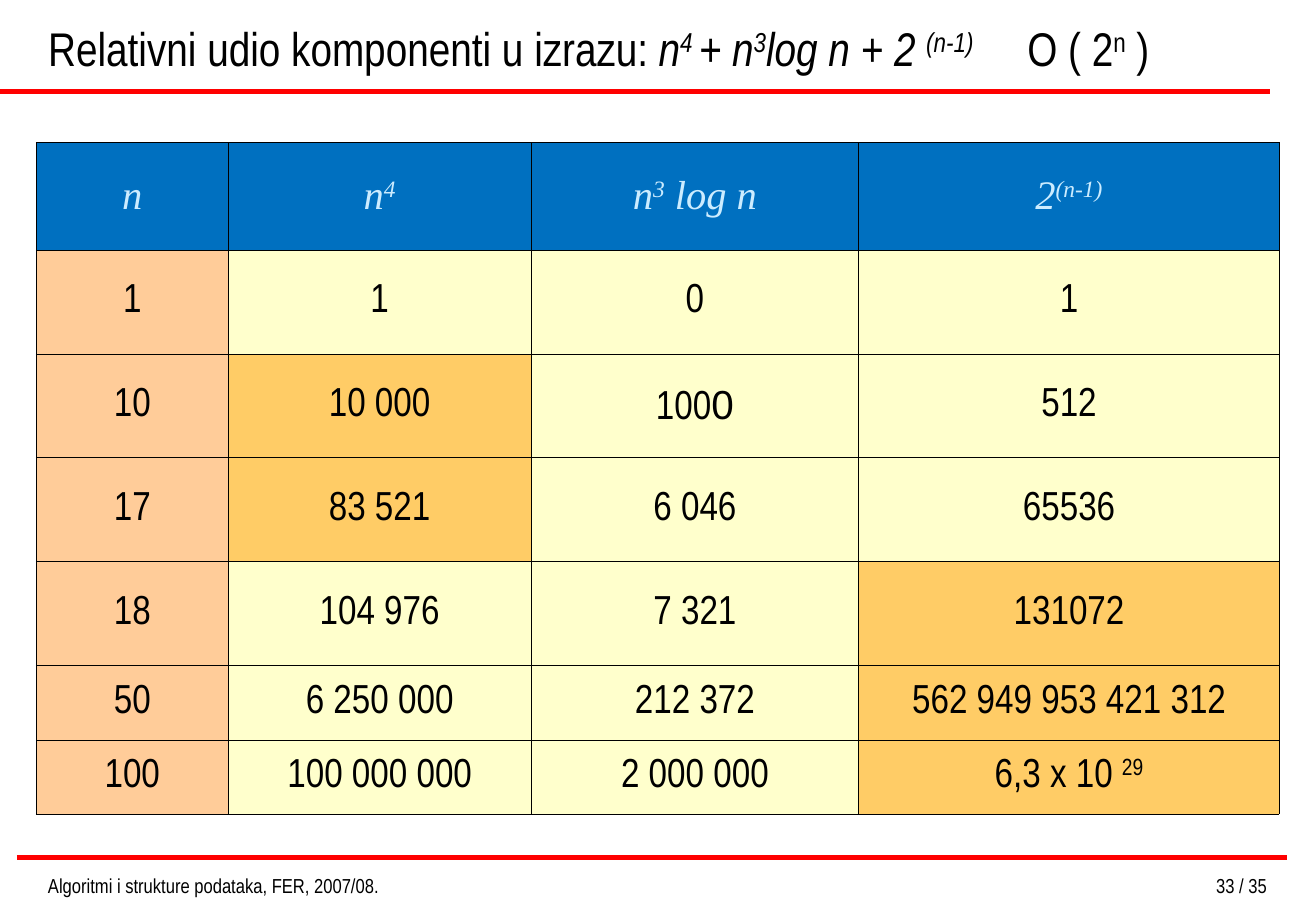
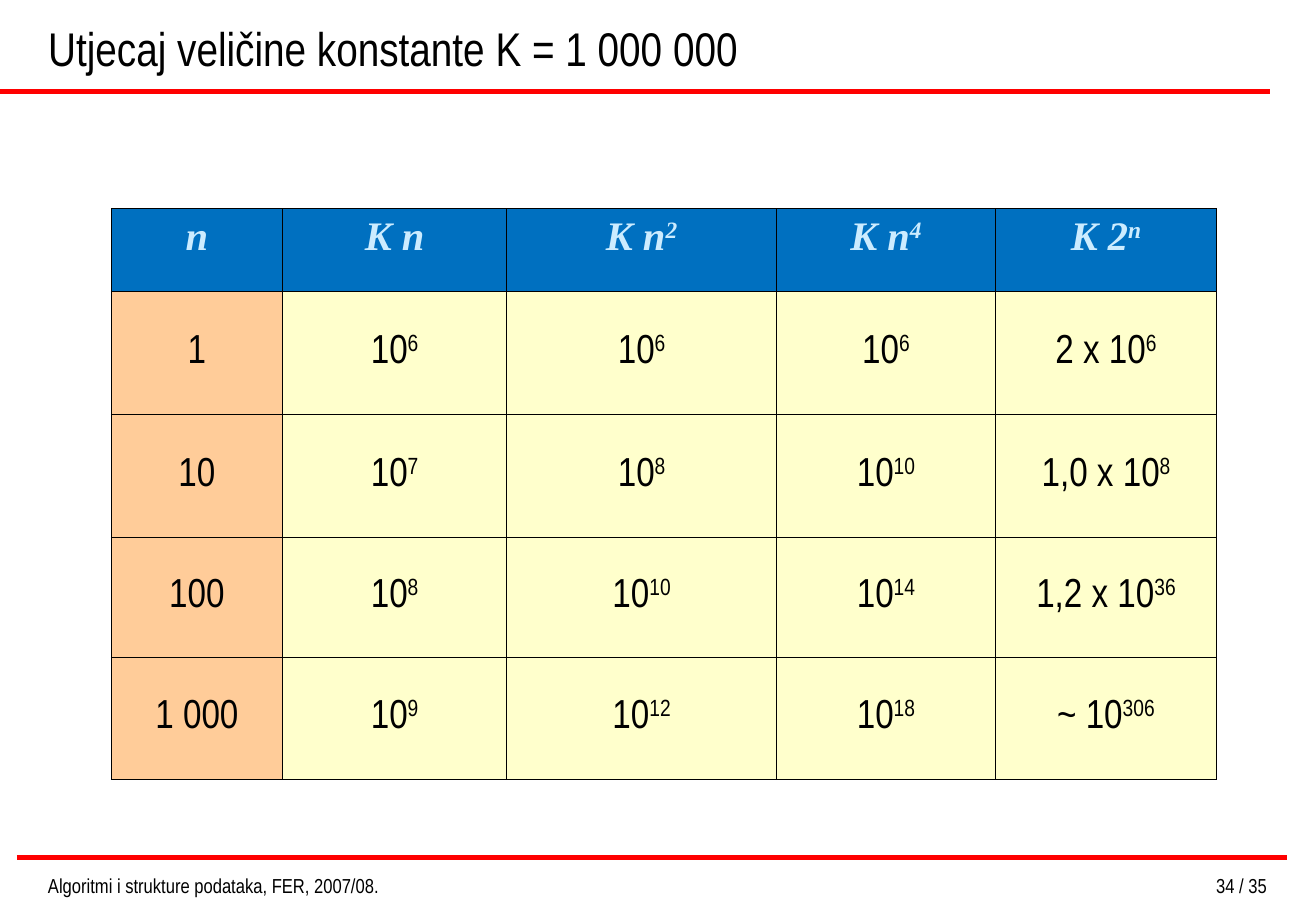
from lxml.etree import SubElement
from pptx import Presentation
from pptx.dml.color import RGBColor
from pptx.enum.shapes import MSO_CONNECTOR
from pptx.enum.text import MSO_ANCHOR, MSO_AUTO_SIZE, PP_ALIGN
from pptx.oxml.ns import qn
from pptx.util import Pt

COLORS = {
    "text": "000000",
    "rule": "FF0000",
    "border": "000000",
    "header": "0070C0",
    "header_text": "CCECFF",
    "first_column": "FFCC99",
    "body": "FFFFCC",
    "largest": "FFCC66",
}
BODY_FONT = "Arial Narrow"
HEADER_FONT = "Times New Roman"
TITLE_ONLY = 5
TOTAL_SLIDES = 35
FOOTER = "Algoritmi i strukture podataka, FER, 2007/08."
LEFT = 21.4

COMPONENTS = [
    ["n", "n^4", "n^3^ log n", "2^(n-1)"],
    ["1", "1", "0", "1"],
    ["10", "10 000", "1000", "512"],
    ["17", "83 521", "6 046", "65536"],
    ["18", "104 976", "7 321", "131072"],
    ["50", "6 250 000", "212 372", "562 949 953 421 312"],
    ["100", "100 000 000", "2 000 000", "6,3 x 10 ^29"],
]
LARGEST = {(2, 1), (3, 1), (4, 3), (5, 3), (6, 3)}

CONSTANT = [
    ["n", "K n", "K n^2", "K n^4", "K 2^n"],
    ["1", "10^6", "10^6", "10^6", "2 x 10^6"],
    ["10", "10^7", "10^8", "10^10", "1,0 x 10^8"],
    ["100", "10^8", "10^10", "10^14", "1,2 x 10^36"],
    ["1 000", "10^9", "10^12", "10^18", "~ 10^306"],
]


def rgb(name):
    return RGBColor.from_string(COLORS[name])


def add_text(p, text, size, font=BODY_FONT, color="text", bold=False, italic=False):
    """Add runs to a paragraph; each ^ switches superscript on or off."""
    for i, part in enumerate(text.split("^")):
        if not part:
            continue
        r = p.add_run()
        r.text = part
        r.font.size = Pt(size)
        r.font.name = font
        r.font.bold = bold
        r.font.italic = italic
        r.font.color.rgb = rgb(color)
        if i % 2:
            r.font._element.set("baseline", "30000")


def add_tab_stop(p, position):
    tabs = SubElement(p._p.get_or_add_pPr(), qn("a:tabLst"))
    SubElement(tabs, qn("a:tab"), pos=str(Pt(position)), algn="l")


def add_rule(slide, x, y):
    line = slide.shapes.add_connector(
        MSO_CONNECTOR.STRAIGHT, Pt(x), Pt(y), Pt(x + 753.2), Pt(y))
    line.line.color.rgb = rgb("rule")
    line.line.width = Pt(3)
    SubElement(line._element.spPr, qn("a:effectLst"))


def add_footer_text(slide, x, width, text, align):
    tf = slide.shapes.add_textbox(Pt(x), Pt(514.4), Pt(width), Pt(17.3)).text_frame
    tf.word_wrap = True
    p = tf.paragraphs[0]
    p.alignment = align
    add_text(p, text, 12)


def set_title(slide, parts, tab=None):
    """Fill the title from (text, italic) pairs."""
    title = slide.shapes.title
    title.left, title.top, title.width, title.height = Pt(LEFT), Pt(0), Pt(731.5), Pt(48.6)
    tf = title.text_frame
    tf.auto_size = MSO_AUTO_SIZE.NONE
    tf.vertical_anchor = MSO_ANCHOR.BOTTOM
    p = tf.paragraphs[0]
    p.alignment = PP_ALIGN.LEFT
    if tab:
        add_tab_stop(p, tab)
    for text, italic in parts:
        add_text(p, text, 28, italic=italic)


def add_slide(prs, number, title_parts, tab=None):
    slide = prs.slides.add_slide(prs.slide_layouts[TITLE_ONLY])
    add_rule(slide, 0, 54.5)
    add_rule(slide, 10, 508.5)
    set_title(slide, title_parts, tab)
    add_footer_text(slide, LEFT, 272, FOOTER, PP_ALIGN.LEFT)
    add_footer_text(slide, 559, 199.5, f"{number} / {TOTAL_SLIDES}", PP_ALIGN.RIGHT)
    return slide


def set_borders(cell):
    tcPr = cell._tc.get_or_add_tcPr()
    for side in ("lnL", "lnR", "lnT", "lnB"):
        ln = SubElement(tcPr, qn(f"a:{side}"), w=str(Pt(0.45)))
        fill = SubElement(ln, qn("a:solidFill"))
        SubElement(fill, qn("a:srgbClr"), val=COLORS["border"])


def cell_fill(row, col, largest):
    if row == 0:
        return "header"
    if col == 0:
        return "first_column"
    return "largest" if (row, col) in largest else "body"


def add_table(slide, x, y, widths, heights, rows, largest=(),
              header_anchor=MSO_ANCHOR.MIDDLE, header_bold=False):
    table = slide.shapes.add_table(
        len(heights), len(widths), Pt(x), Pt(y), Pt(sum(widths)), Pt(sum(heights))).table
    table.first_row = table.horz_banding = False
    for column, width in zip(table.columns, widths):
        column.width = Pt(width)
    for i, (height, values) in enumerate(zip(heights, rows)):
        table.rows[i].height = Pt(height)
        for j, value in enumerate(values):
            cell = table.cell(i, j)
            set_borders(cell)
            cell.fill.solid()
            cell.fill.fore_color.rgb = rgb(cell_fill(i, j, largest))
            cell.vertical_anchor = MSO_ANCHOR.MIDDLE if i else header_anchor
            p = cell.text_frame.paragraphs[0]
            p.alignment = PP_ALIGN.CENTER
            if i:
                add_text(p, value, 24)
            else:
                add_text(p, value, 24, HEADER_FONT, "header_text", header_bold, True)
    return table


def main():
    prs = Presentation()
    prs.slide_width, prs.slide_height = Pt(780.48), Pt(540)

    slide = add_slide(prs, 33, [
        ("Relativni udio komponenti u izrazu: ", False),
        ("n^4 ^+ n^3^log n + 2 ^(n-1)", True),
        ("\tO ( 2^n^ )", False),
    ], tab=580.7)
    table = add_table(slide, 21.5, 84.4, [113.9, 179.5, 194.5, 249.3],
                      [63.8] + [61.6] * 4 + [44] * 2, COMPONENTS, LARGEST)
    # The last digit of 1000 is set in a wider font.
    p = table.cell(2, 2).text_frame.paragraphs[0]
    p.runs[0].text = "100"
    add_text(p, "0", 24, "Arial")

    slide = add_slide(prs, 34, [("Utjecaj veličine konstante K = 1 000 000", False)])
    add_table(slide, 66, 123.8, [101.6, 132.9, 160.1, 129.8, 131.2],
              [49.2, 72.8, 72.5, 71.3, 72.6], CONSTANT,
              header_anchor=MSO_ANCHOR.TOP, header_bold=True)

    prs.save("out.pptx")


if __name__ == "__main__":
    main()
